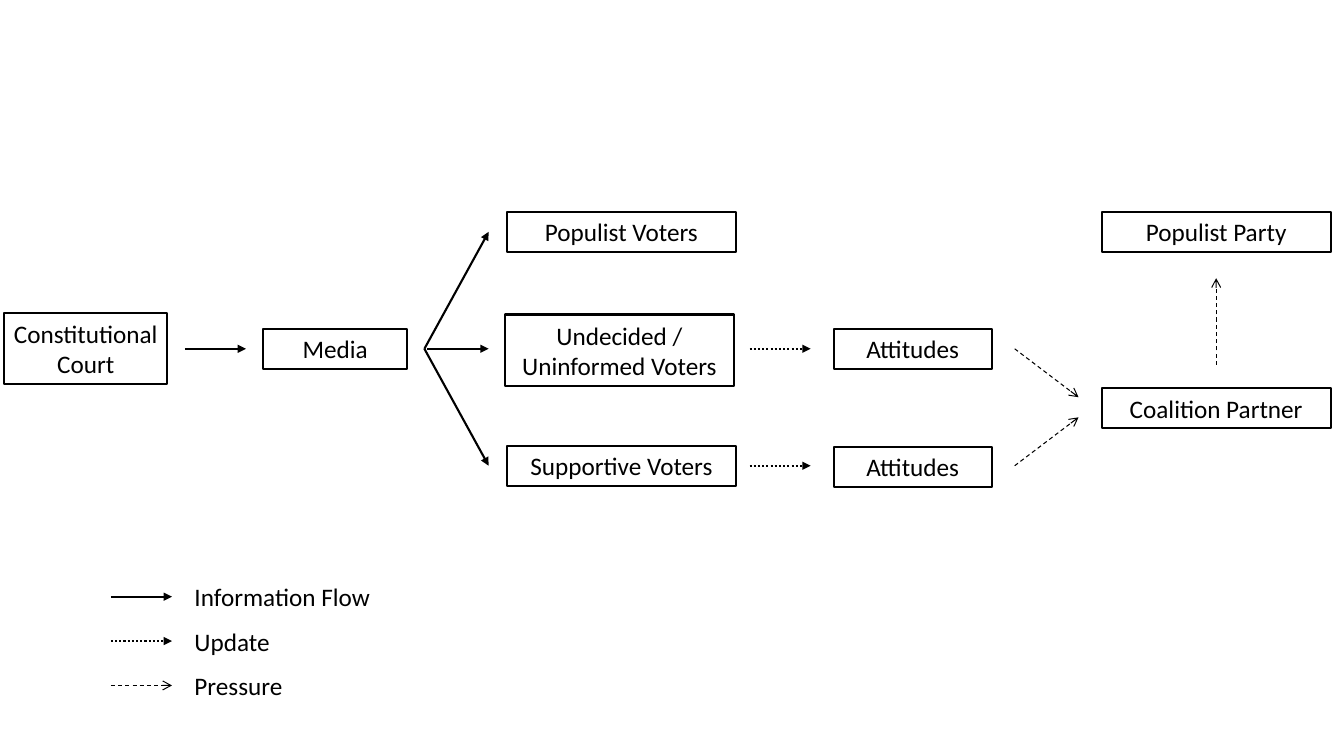
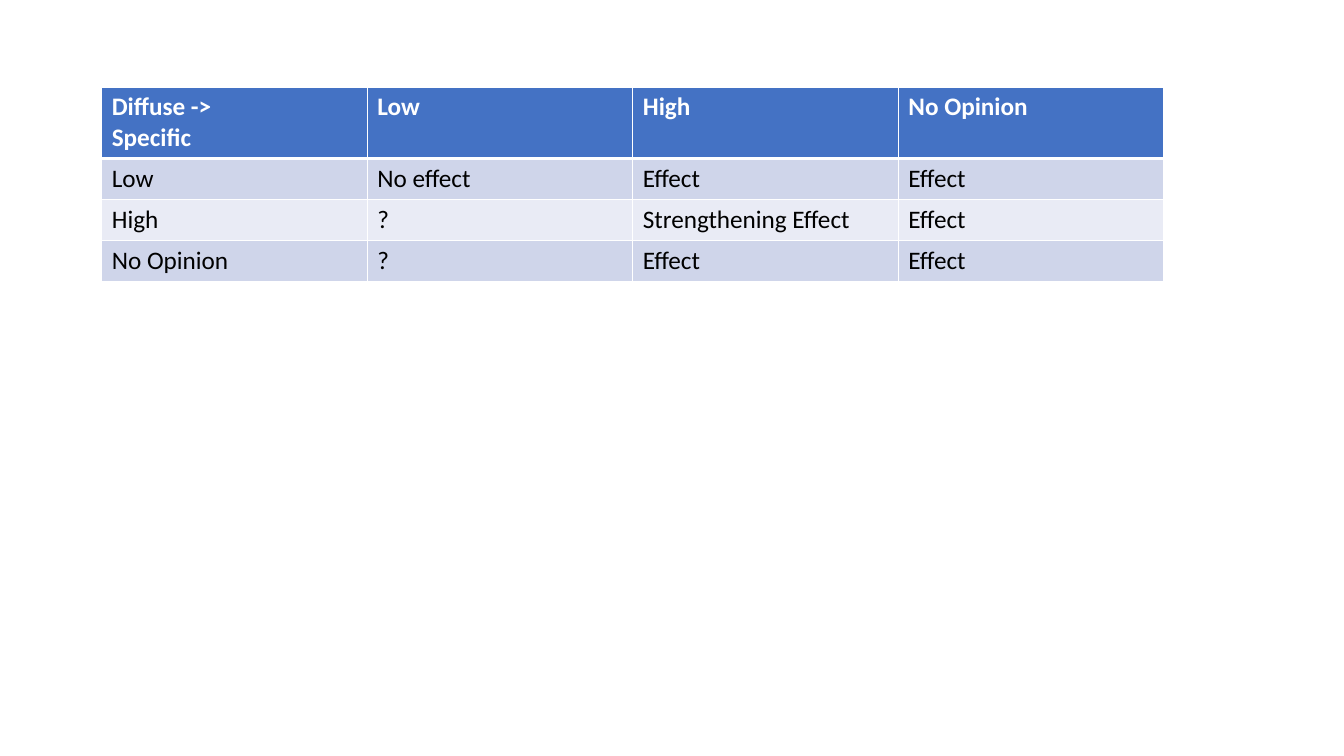
from dataclasses import dataclass
from enum import Enum

from pptx import Presentation
from pptx.dml.color import RGBColor
from pptx.enum.dml import MSO_LINE
from pptx.enum.shapes import MSO_CONNECTOR, MSO_SHAPE
from pptx.enum.text import MSO_ANCHOR, PP_ALIGN
from pptx.oxml.ns import qn
from pptx.slide import Slide
from pptx.table import _Cell
from pptx.text.text import TextFrame
from pptx.util import Inches, Length, Pt
from lxml.etree import SubElement

COLORS = {
    "ink": "000000",
    "paper": "FFFFFF",
    "header": "4472C4",
    "band_dark": "CFD5EA",
    "band_light": "E9EBF5",
}
FONT, SIZE = "Calibri", 18
WIDTH, HEIGHT = Inches(13.333), Inches(7.5)

# Positions are percentages of the slide's width (x) and height (y).
UPPER, MIDDLE, LOWER = (30.67 + 15.47 * i for i in range(3))
PARTNER = (MIDDLE + LOWER) / 2
ONE_LINE, TWO_LINES = 5.33, 9.47
COURT, MEDIA, VOTERS, ATTITUDES, PARTY = 6.38, 24.94, 46.24, 67.91, 90.49
FORK, FORK_END = 31.58, 36.36
STEP = 4.55


@dataclass(frozen=True)
class LineStyle:
    """Look of one kind of arrow."""
    width: float
    head: str
    dash: MSO_LINE | None = None


class Flow(Enum):
    """Kinds of influence, each with its line style."""
    INFORMATION = LineStyle(1.5, "triangle")
    UPDATE = LineStyle(1.5, "triangle", MSO_LINE.ROUND_DOT)
    PRESSURE = LineStyle(0.75, "arrow", MSO_LINE.DASH)


@dataclass(frozen=True)
class Box:
    """Labelled actor, placed by its centre."""
    text: str
    x: float
    y: float
    width: float
    height: float = ONE_LINE


@dataclass(frozen=True)
class Arrow:
    """Directed link between two points."""
    flow: Flow
    x1: float
    y1: float
    x2: float
    y2: float


BOXES = [
    Box("Constitutional Court", COURT, MIDDLE - 0.05, 12.15, TWO_LINES),
    Box("Media", MEDIA, MIDDLE, 10.73),
    Box("Populist Voters", VOTERS, UPPER, 17.03),
    Box("Undecided / Uninformed Voters", VOTERS - 0.15, MIDDLE + 0.2, 17.03, TWO_LINES),
    Box("Supportive Voters", VOTERS, LOWER, 17.03),
    Box("Attitudes", ATTITUDES, MIDDLE, 11.78),
    Box("Attitudes", ATTITUDES, LOWER + 0.13, 11.78),
    Box("Populist Party", PARTY, UPPER, 17.03),
    Box("Coalition Partner", PARTY, PARTNER + 0.13, 17.03),
]
ARROWS = [
    Arrow(Flow.INFORMATION, 13.75, MIDDLE, 13.75 + STEP, MIDDLE),
    Arrow(Flow.INFORMATION, FORK + 0.22, MIDDLE, FORK_END, MIDDLE),
    Arrow(Flow.INFORMATION, FORK, MIDDLE, FORK_END, UPPER),
    Arrow(Flow.INFORMATION, FORK, MIDDLE, FORK_END, LOWER),
    Arrow(Flow.UPDATE, 55.77, MIDDLE, 55.77 + STEP, MIDDLE),
    Arrow(Flow.UPDATE, 55.77, LOWER, 55.77 + STEP, LOWER),
    Arrow(Flow.PRESSURE, 75.5, MIDDLE, 80.25, PARTNER - 1.33),
    Arrow(Flow.PRESSURE, 75.5, LOWER, 80.25, PARTNER + 1.33),
    Arrow(Flow.PRESSURE, PARTY, 48.27, PARTY, 36.8),
]
LEGEND = [
    ("Information Flow", Flow.INFORMATION),
    ("Update", Flow.UPDATE),
    ("Pressure", Flow.PRESSURE),
]
EFFECTS = [
    ["Diffuse ->\nSpecific", "Low", "High", "No Opinion"],
    ["Low", "No effect", "Effect", "Effect"],
    ["High", "?", "Strengthening Effect", "Effect"],
    ["No Opinion", "?", "Effect", "Effect"],
]
EFFECT_COLUMN = 19.76
EFFECT_ROWS = [9.4, 5.33, 5.4, 5.4]


def px(share: float) -> Length:
    """Percentage of the slide's width as a length."""
    return Length(round(WIDTH * share / 100))


def py(share: float) -> Length:
    """Percentage of the slide's height as a length."""
    return Length(round(HEIGHT * share / 100))


def rgb(name: str) -> RGBColor:
    """Look up a named colour."""
    return RGBColor.from_string(COLORS[name])


def write(tf: TextFrame, text: str, *, color: str = "ink", bold: bool = False,
          align: PP_ALIGN = PP_ALIGN.LEFT) -> None:
    """Write formatted text, one paragraph per line."""
    tf.word_wrap = True
    for i, line in enumerate(text.split("\n")):
        p = tf.add_paragraph() if i else tf.paragraphs[0]
        p.alignment = align
        r = p.add_run()
        r.text = line
        r.font.name, r.font.size, r.font.bold = FONT, Pt(SIZE), bold
        r.font.color.rgb = rgb(color)


def draw_box(s: Slide, box: Box) -> None:
    """Draw an outlined box with centred text."""
    sp = s.shapes.add_shape(
        MSO_SHAPE.RECTANGLE, px(box.x - box.width / 2), py(box.y - box.height / 2),
        px(box.width), py(box.height))
    sp.shadow.inherit = False
    sp.fill.solid()
    sp.fill.fore_color.rgb = rgb("paper")
    sp.line.color.rgb = rgb("ink")
    sp.line.width = Pt(1.5)
    tf = sp.text_frame
    tf.margin_left = tf.margin_right = Inches(0.08)
    tf.vertical_anchor = MSO_ANCHOR.MIDDLE
    write(tf, box.text, align=PP_ALIGN.CENTER)


def draw_arrow(s: Slide, arrow: Arrow) -> None:
    """Draw a connector with the arrowhead of its flow."""
    style = arrow.flow.value
    sp = s.shapes.add_connector(
        MSO_CONNECTOR.STRAIGHT, px(arrow.x1), py(arrow.y1), px(arrow.x2), py(arrow.y2))
    sp.line.color.rgb = rgb("ink")
    sp.line.width = Pt(style.width)
    if style.dash is not None:
        sp.line.dash_style = style.dash
    sp_pr = sp._element.spPr
    SubElement(sp_pr.find(qn("a:ln")), qn("a:tailEnd"), type=style.head)
    SubElement(sp_pr, qn("a:effectLst"))


def draw_legend(s: Slide) -> None:
    """Draw one sample arrow and label per flow."""
    for i, (label, flow) in enumerate(LEGEND):
        y = 78.93 + 5.87 * i
        draw_arrow(s, Arrow(flow, 8.25, y, 8.25 + STEP, y))
        sp = s.shapes.add_textbox(px(13.73), py(y - ONE_LINE / 2), px(50), py(ONE_LINE))
        write(sp.text_frame, label)


def set_borders(cell: _Cell, **widths: float) -> None:
    """Give a cell white borders; call before setting its fill."""
    tc_pr = cell._tc.get_or_add_tcPr()
    for side in "LRTB":
        ln = SubElement(tc_pr, qn(f"a:ln{side}"), w=str(Pt(widths.get(side, 1))))
        fill = SubElement(ln, qn("a:solidFill"))
        SubElement(fill, qn("a:srgbClr"), val=COLORS["paper"])


def draw_effects(s: Slide) -> None:
    """Draw the banded table of effects."""
    columns = len(EFFECTS[0])
    table = s.shapes.add_table(
        len(EFFECTS), columns, px(7.57), py(11.5),
        px(EFFECT_COLUMN * columns), py(sum(EFFECT_ROWS))).table
    for column in table.columns:
        column.width = px(EFFECT_COLUMN)
    for i, (texts, height) in enumerate(zip(EFFECTS, EFFECT_ROWS)):
        table.rows[i].height = py(height)
        header = i == 0
        band = "header" if header else "band_dark" if i % 2 else "band_light"
        for j, text in enumerate(texts):
            cell = table.cell(i, j)
            set_borders(cell, B=3 if header else 1, T=3 if i == 1 else 1)
            cell.fill.solid()
            cell.fill.fore_color.rgb = rgb(band)
            write(cell.text_frame, text, color="paper" if header else "ink", bold=header)


def main() -> None:
    """Build and save both slides."""
    prs = Presentation()
    prs.slide_width, prs.slide_height = WIDTH, HEIGHT
    blank = prs.slide_layouts[6]

    s = prs.slides.add_slide(blank)
    for box in BOXES:
        draw_box(s, box)
    for arrow in ARROWS:
        draw_arrow(s, arrow)
    draw_legend(s)

    draw_effects(prs.slides.add_slide(blank))
    prs.save("out.pptx")


main()
